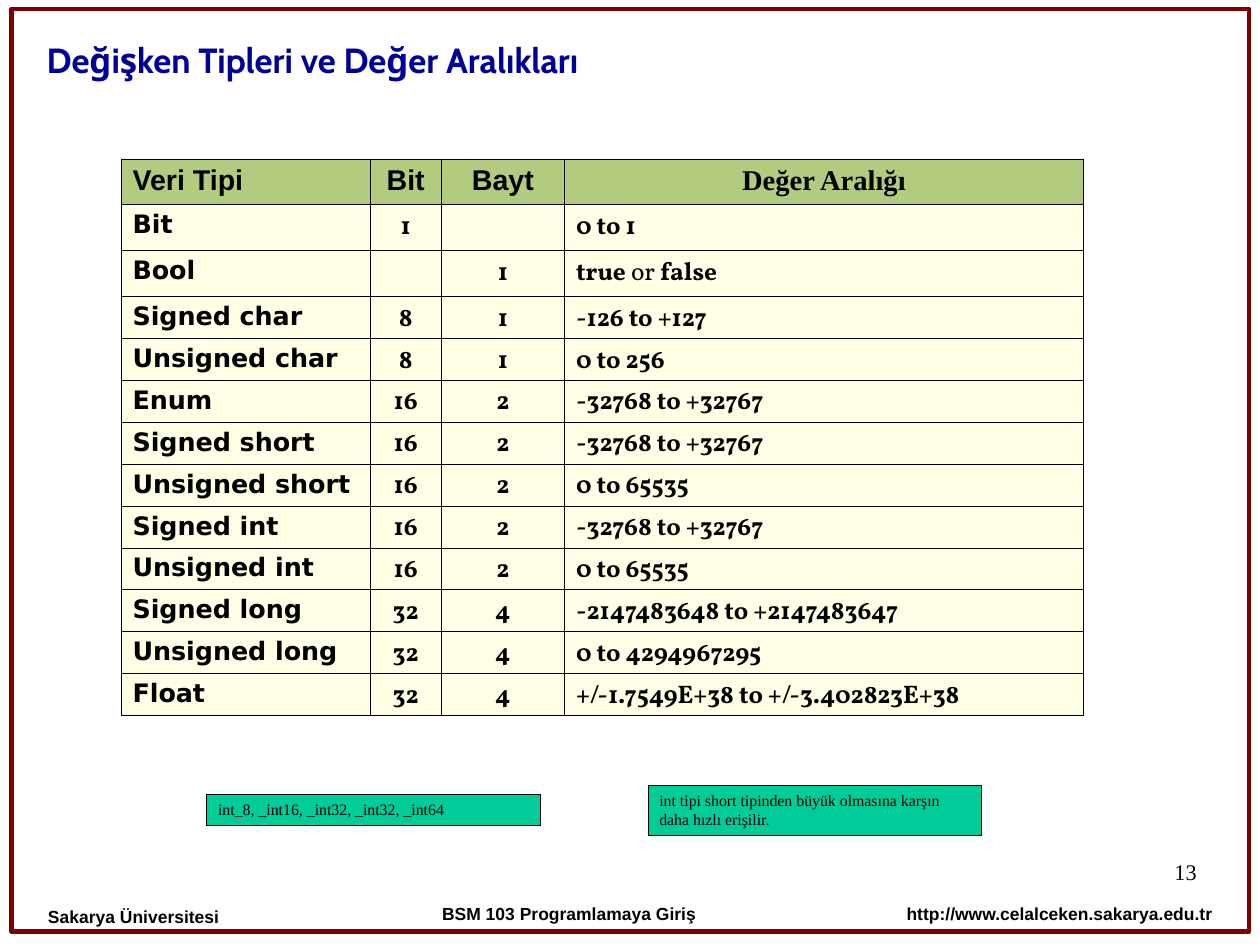
"""Build the slide listing variable types and their value ranges."""
from pptx import Presentation
from pptx import util as u
from pptx.dml.color import RGBColor
from pptx.enum import shapes, text
from pptx.oxml import parse_xml
from pptx.oxml.ns import nsdecls, qn

COLORS = {"frame": "800000", "title": "000099", "ink": "000000", "note": "00CC99",
          "header": "669900", "body": "FFFFCC"}
LEFT, CENTER = text.PP_ALIGN.LEFT, text.PP_ALIGN.CENTER
RIGHT, JUSTIFY = text.PP_ALIGN.RIGHT, text.PP_ALIGN.JUSTIFY
SERIF = "Times New Roman"
TITLE = "Değişken Tipleri ve Değer Aralıkları"
PAGE_NUMBER = "13"
HEADER = ("Veri Tipi", "Bit", "Bayt", "Değer Aralığı")
TYPES = [
    ("Bit", "1", "", "0 to 1"),
    ("Bool", "", "1", ("true ", "or", " false")),
    ("Signed char", "8", "1", "-126 to +127"),
    ("Unsigned char", "8", "1", "0 to 256"),
    ("Enum", "16", "2", "-32768 to +32767"),
    ("Signed short", "16", "2", "-32768 to +32767"),
    ("Unsigned short", "16", "2", "0 to 65535"),
    ("Signed int", "16", "2", "-32768 to +32767"),
    ("Unsigned int", "16", "2", "0 to 65535"),
    ("Signed long", "32", "4", "-2147483648 to +2147483647"),
    ("Unsigned long", "32", "4", "0 to 4294967295"),
    ("Float", "32", "4", "+/-1.7549E+38 to +/-3.402823E+38"),
]
NOTES = [
    ((5.67, 6.87, 2.92, 0.44),
     "int tipi short tipinden büyük olmasına karşın daha hızlı erişilir."),
    ((1.81, 6.95, 2.92, 0.27), "int_8, _int16, _int32, _int32, _int64"),
]
FOOTERS = [
    ((0.2, 7.76, 2.36, 0.54), "Sakarya Üniversitesi", LEFT, 0.93),
    ((7.09, 7.76, 3.74, 0.51), "http://www.celalceken.sakarya.edu.tr", RIGHT, 0.83),
    ((3.11, 7.76, 3.74, 0.51), "BSM 103 Programlamaya Giriş", CENTER, 0.83),
]
COLUMN_WIDTHS = (2.18, 0.62, 1.08, 4.54)
TABLE_LEFT, TABLE_TOP, TABLE_HEIGHT = 1.06, 1.39, 4.87
TALL_ROWS, TALL_HEIGHT = 3, 0.4
HEADER_FONTS = ("Arial", "Arial", "Arial", SERIF)
BODY_FONTS = ("DejaVu Sans", "Vollkorn", "Vollkorn", "Vollkorn")
HEADER_ALIGNS = (LEFT, CENTER, CENTER, CENTER)
BODY_ALIGNS = (LEFT, CENTER, CENTER, LEFT)
TEXT_MARGINS = (0.1, 0.05, 0.1, 0.05)
FOOTER_MARGINS = (0.22, 0.27, 0.22, 0.08)


def rgb(name):
    return RGBColor.from_string(COLORS[name])


def inches(values):
    return [u.Inches(value) for value in values]


def style(paragraph, font_name, size, color="ink", bold=False, align=LEFT):
    paragraph.alignment = align
    font = paragraph.font
    font.name, font.size, font.bold = font_name, u.Pt(size), bold
    font.color.rgb = rgb(color)


def write(shape, words, margins, spacing=None, **look):
    frame = shape.text_frame
    frame.word_wrap = True
    frame.vertical_anchor = text.MSO_ANCHOR.TOP
    (frame.margin_left, frame.margin_top,
     frame.margin_right, frame.margin_bottom) = inches(margins)
    paragraph = frame.paragraphs[0]
    paragraph.text = words
    paragraph.line_spacing = spacing
    style(paragraph, **look)


def add_text(slide, box, words, margins, spacing, **look):
    write(slide.shapes.add_textbox(*inches(box)), words, margins, spacing, **look)


def add_frame(slide):
    frame = slide.shapes.add_shape(shapes.MSO_SHAPE.ROUNDED_RECTANGLE,
                                   *inches((0.1, 0.08, 10.83, 8.07)))
    frame.adjustments[0] = 0
    frame.shadow.inherit = False
    frame.fill.background()
    frame.line.color.rgb = rgb("frame")
    frame.line.width = u.Pt(2.83)


def add_note(slide, box, words):
    note = slide.shapes.add_shape(shapes.MSO_SHAPE.RECTANGLE, *inches(box))
    note.shadow.inherit = False
    note.fill.solid()
    note.fill.fore_color.rgb = rgb("note")
    note.line.color.rgb = rgb("ink")
    note.line.width = u.Pt(0.75)
    write(note, words, TEXT_MARGINS, font_name=SERIF, size=10)
    note.text_frame.auto_size = text.MSO_AUTO_SIZE.SHAPE_TO_FIT_TEXT


def paint_cell(cell, color):
    cell.fill.solid()
    cell.fill.fore_color.rgb = rgb(color)
    properties = cell._tc.get_or_add_tcPr()
    tint = next(properties.iter(qn("a:srgbClr")))
    tint.append(parse_xml(f'<a:alpha {nsdecls("a")} val="50000"/>'))
    for position, side in enumerate(("lnL", "lnR", "lnT", "lnB")):
        properties.insert(position, parse_xml(
            f'<a:{side} {nsdecls("a")} w="{u.Pt(0.45)}"><a:solidFill>'
            f'<a:srgbClr val="{COLORS["ink"]}"/></a:solidFill></a:{side}>'))


def fill_cell(cell, content, font_name, size, align):
    (cell.margin_left, cell.margin_top,
     cell.margin_right, cell.margin_bottom) = inches(TEXT_MARGINS)
    if not content:
        return
    paragraph = cell.text_frame.paragraphs[0]
    parts = (content,) if isinstance(content, str) else content
    for part in parts:
        run = paragraph.add_run()
        run.text = part
        if part == "or":
            run.font.bold = False
    properties = paragraph._p.get_or_add_pPr()
    properties.set("marL", str(u.Inches(0.38)))
    properties.set("indent", str(-u.Inches(0.38)))
    style(paragraph, font_name, size, bold=True, align=align)


def add_types_table(slide):
    rows = [HEADER] + TYPES
    box = (TABLE_LEFT, TABLE_TOP, sum(COLUMN_WIDTHS), TABLE_HEIGHT)
    table = slide.shapes.add_table(len(rows), len(HEADER), *inches(box)).table
    table.first_row = table.horz_banding = False
    for column, width in zip(table.columns, COLUMN_WIDTHS):
        column.width = u.Inches(width)
    short_height = (TABLE_HEIGHT - TALL_ROWS * TALL_HEIGHT) / (len(rows) - TALL_ROWS)
    for r, contents in enumerate(rows):
        table.rows[r].height = u.Inches(TALL_HEIGHT if r < TALL_ROWS else short_height)
        fonts, aligns, size, color = (
            (BODY_FONTS, BODY_ALIGNS, 16, "body") if r
            else (HEADER_FONTS, HEADER_ALIGNS, 18, "header"))
        for c, content in enumerate(contents):
            fill_cell(table.cell(r, c), content, fonts[c], size, aligns[c])
            paint_cell(table.cell(r, c), color)


def main():
    presentation = Presentation()
    presentation.slide_width = u.Cm(28)
    presentation.slide_height = u.Cm(21)
    slide = presentation.slides.add_slide(presentation.slide_layouts[6])
    add_frame(slide)
    add_text(slide, (7.9, 7.53, 2.57, 0.57), PAGE_NUMBER, (0, 0, 0, 0), 0.95,
             font_name=SERIF, size=14, align=RIGHT)
    add_text(slide, (0.31, 0.27, 8, 0.6), TITLE, TEXT_MARGINS, 1.04,
             font_name="Cabin", size=22, color="title", bold=True, align=JUSTIFY)
    for box, words in NOTES:
        add_note(slide, box, words)
    for box, words, align, spacing in FOOTERS:
        add_text(slide, box, words, FOOTER_MARGINS, spacing,
                 font_name="Arial", size=11, bold=True, align=align)
    add_types_table(slide)
    presentation.save("out.pptx")


if __name__ == "__main__":
    main()
